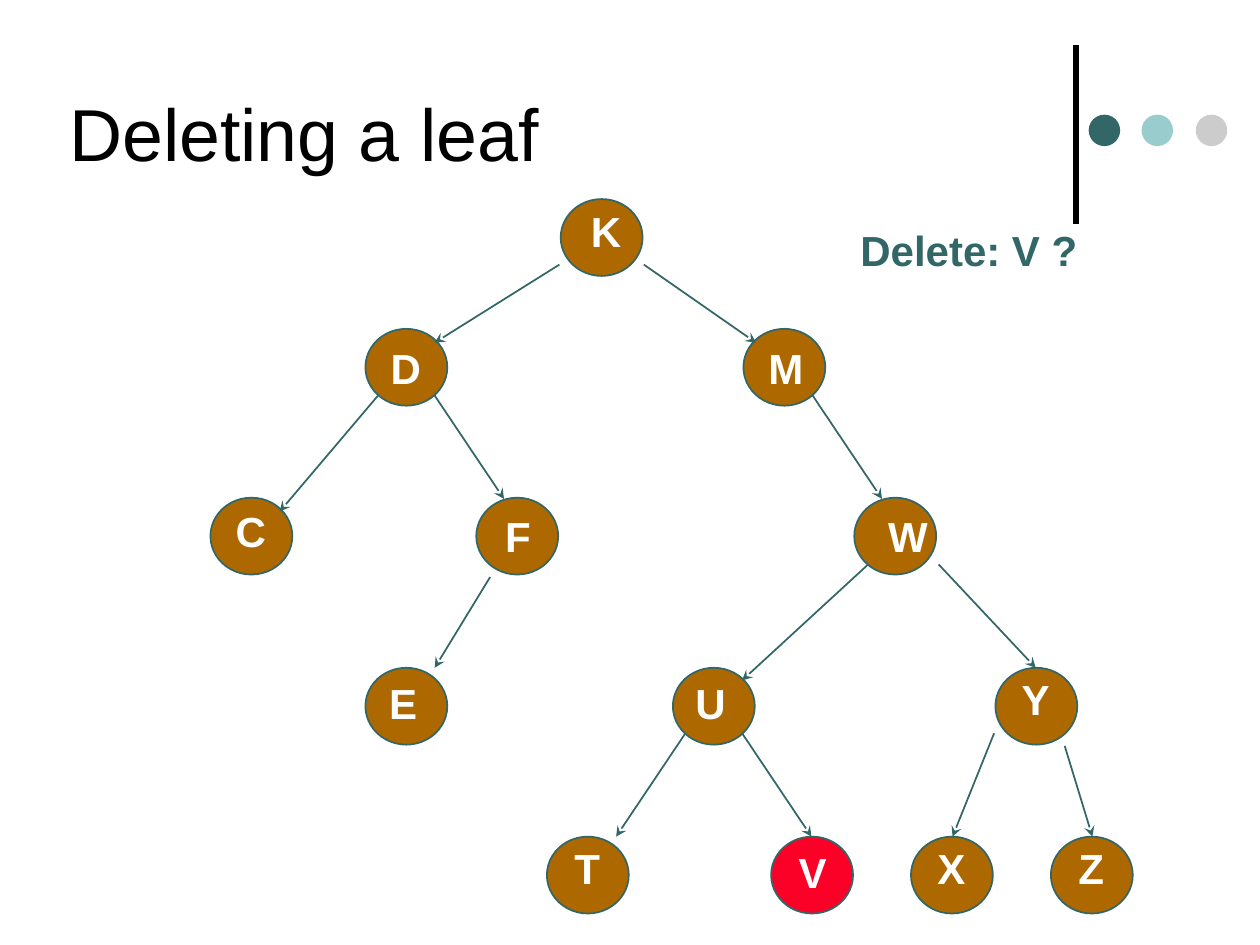
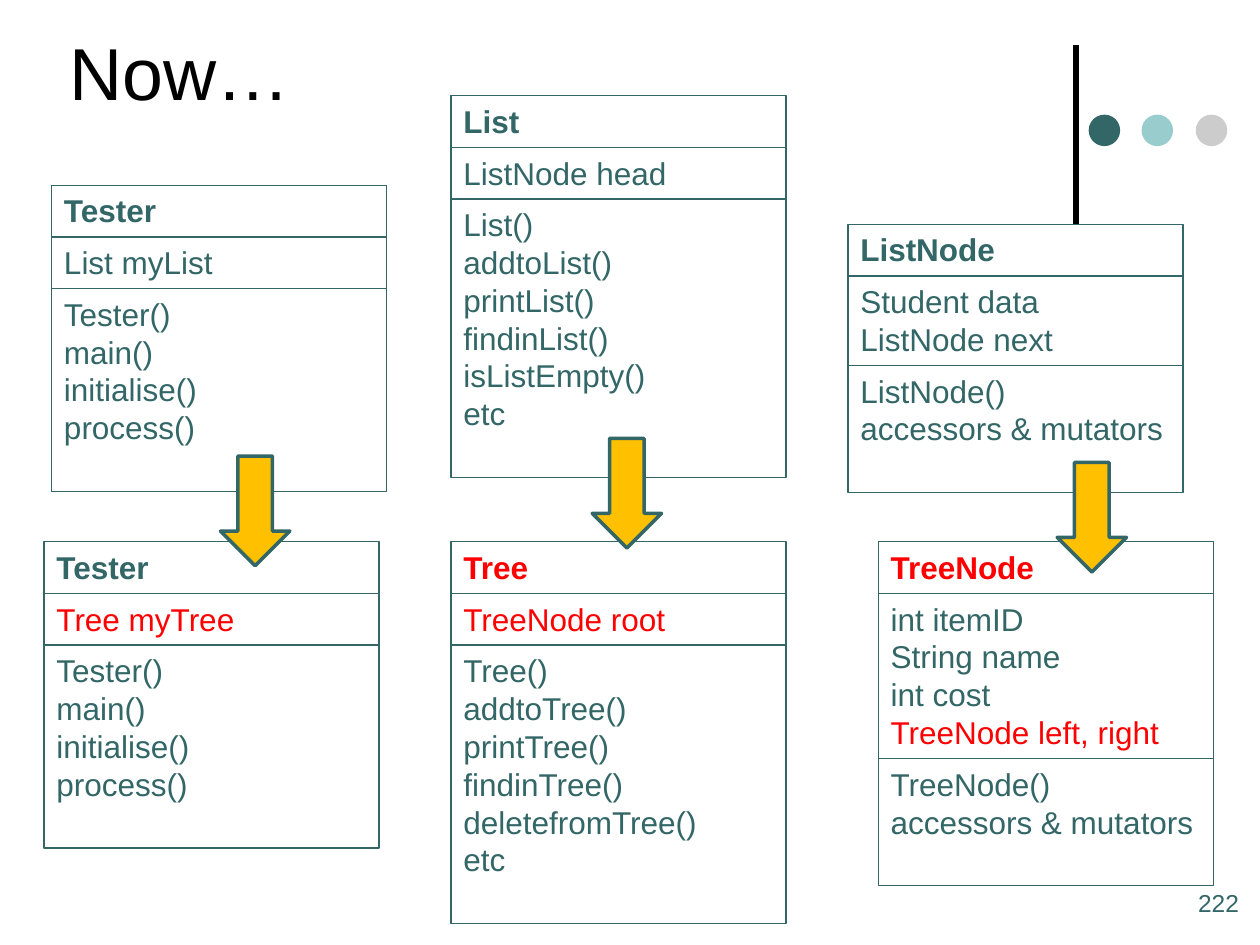
"""Build two slides: deleting a tree leaf, and moving the classes from list to tree."""
from lxml.etree import SubElement
from pptx import Presentation
from pptx.dml.color import RGBColor
from pptx.enum.shapes import MSO_CONNECTOR, MSO_SHAPE
from pptx.enum.text import MSO_ANCHOR, PP_ALIGN
from pptx.oxml.ns import qn
from pptx.util import Pt

PX = 9144
COLORS = {
    "ink": "000000", "teal": "336666", "aqua": "99CCCC", "grey": "CCCCCC",
    "node": "AD6900", "target": "FC0128", "label": "FFFFFF",
    "changed": "FF0000", "arrow": "FFC000",
}
FORMATS = {
    "title": {"size": Pt(42), "bold": False},
    "tree": {"size": Pt(24), "bold": True},
    "heading": {"size": Pt(18), "bold": True},
    "member": {"size": Pt(18), "bold": False},
    "number": {"size": Pt(14), "bold": False},
}

DOTS = ["teal", "aqua", "grey"]
LEVEL_TOPS = [158, 261, 395, 530, 664]
NODE_WIDTH, NODE_HEIGHT = 65, 61
LABEL_WIDTH, LABEL_HEIGHT = 44, 50
# letter: left, level, label shift right, label shift down
NODES = {
    "K": (445, 0, 4, 0), "D": (290, 1, 0, 6), "M": (590, 1, 0, 6),
    "C": (167, 2, 0, 1), "F": (378, 2, 1, 5), "W": (678, 2, 7, 5),
    "E": (290, 3, -2, 3), "U": (534, 3, -2, 3), "Y": (790, 3, 0, 0),
    "T": (434, 4, 0, 0), "V": (612, 4, 1, 3), "X": (723, 4, 0, 0),
    "Z": (834, 4, 0, 0),
}
DELETED = "V"
EDGES = [
    (444, 210, 345, 272), (511, 210, 600, 272),
    (300, 314, 222, 406), (345, 314, 400, 396), (645, 314, 700, 396),
    (389, 458, 345, 530), (689, 448, 589, 540), (745, 448, 822, 530),
    (544, 582, 489, 664), (589, 582, 644, 664),
    (789, 582, 756, 664), (845, 592, 867, 664),
]

CLASS_WIDTH, LINE_HEIGHT, CLASS_PADDING = 266, 30, 11
CLASSES = [
    (41, 147, "Tester", ["List myList"],
     ["Tester()", "main()", "initialise()", "process()"]),
    (673, 178, "ListNode", ["Student data", "ListNode next"],
     ["ListNode()", "accessors & mutators"]),
    (358, 76, "List", ["ListNode head"],
     ["List()", "addtoList()", "printList()", "findinList()", "isListEmpty()", "etc"]),
    (697, 430, "TreeNode",
     ["int itemID", "String name", "int cost", "TreeNode left, right"],
     ["TreeNode()", "accessors & mutators"]),
    (358, 430, "Tree", ["TreeNode root"],
     ["Tree()", "addtoTree()", "printTree()", "findinTree()", "deletefromTree()", "etc"]),
    (35, 430, "Tester", ["Tree myTree"],
     ["Tester()", "main()", "initialise()", "process()"]),
]
CHANGED = {"Tree", "TreeNode", "Tree myTree", "TreeNode root", "TreeNode left, right"}
ARROWS = [(839, 367), (470, 348), (175, 362)]


def color(name):
    return RGBColor.from_string(COLORS[name])


def scaled(*lengths):
    return [length * PX for length in lengths]


def write(shape, lines, style, tint="teal", align=PP_ALIGN.LEFT,
          anchor=MSO_ANCHOR.TOP, wrap=True):
    frame = shape.text_frame
    frame.word_wrap = wrap
    frame.vertical_anchor = anchor
    for index, line in enumerate(lines):
        paragraph = frame.add_paragraph() if index else frame.paragraphs[0]
        paragraph.alignment = align
        span = paragraph.add_run()
        span.text = line
        span.font.name = "Arial"
        span.font.color.rgb = color("changed" if line in CHANGED else tint)
        for name, value in FORMATS[style].items():
            setattr(span.font, name, value)


def add_text(page, place, text, style, **options):
    write(page.shapes.add_textbox(*scaled(*place)), [text], style, **options)


def add_shape(page, kind, place, fill=None, line_width=None):
    shape = page.shapes.add_shape(kind, *scaled(*place))
    shape.shadow.inherit = False
    if fill:
        shape.fill.solid()
        shape.fill.fore_color.rgb = color(fill)
    else:
        shape.fill.background()
    if line_width:
        shape.line.color.rgb = color("teal")
        shape.line.width = Pt(line_width)
    else:
        shape.line.fill.background()
    return shape


def add_line(page, ends, tint, width, arrow=False):
    line = page.shapes.add_connector(MSO_CONNECTOR.STRAIGHT, *scaled(*ends))
    line.line.color.rgb = color(tint)
    line.line.width = Pt(width)
    if arrow:
        SubElement(line.line._get_or_add_ln(), qn("a:tailEnd"), type="stealth")
    SubElement(line._element.spPr, qn("a:effectLst"))


def add_page(deck, title, title_top):
    page = deck.slides.add_slide(deck.slide_layouts[6])
    add_line(page, (854, 178, 854, 36), "ink", 3)
    for index, tint in enumerate(DOTS):
        add_shape(page, MSO_SHAPE.OVAL, (864 + round(index * 42.5), 91, 25, 25), tint)
    add_text(page, (45, title_top, 767, 167), title, "title",
             tint="ink", anchor=MSO_ANCHOR.MIDDLE)
    return page


def draw_tree(page):
    for letter, (left, level, shift_right, shift_down) in NODES.items():
        top = LEVEL_TOPS[level]
        add_shape(page, MSO_SHAPE.OVAL, (left, top, NODE_WIDTH, NODE_HEIGHT),
                  "target" if letter == DELETED else "node", 1)
        label_left = left + (NODE_WIDTH - LABEL_WIDTH) // 2 + shift_right
        add_text(page, (label_left, top + shift_down, LABEL_WIDTH, LABEL_HEIGHT),
                 letter, "tree", tint="label", align=PP_ALIGN.CENTER, wrap=False)
    for ends in EDGES:
        add_line(page, ends, "teal", 1, arrow=True)


def draw_class(page, left, top, name, fields, methods):
    parts = [([name], "heading", 0), (fields, "member", 0), (methods, "member", 1)]
    for lines, style, spare_lines in parts:
        height = CLASS_PADDING + LINE_HEIGHT * (len(lines) + spare_lines)
        box = add_shape(page, MSO_SHAPE.RECTANGLE,
                        (left, top, CLASS_WIDTH, height), line_width=0.75)
        write(box, lines, style)
        top += height


def main():
    deck = Presentation()
    deck.slide_width, deck.slide_height = scaled(1000, 750)

    page = add_page(deck, "Deleting a leaf", 21)
    draw_tree(page)
    add_text(page, (673, 173, 194, 51), "Delete: V ?", "tree", wrap=False)

    page = add_page(deck, "Now…", -27)
    add_text(page, (941, 700, 59, 50), "222", "number")
    for entry in CLASSES:
        draw_class(page, *entry)
    for left, top in ARROWS:
        add_shape(page, MSO_SHAPE.DOWN_ARROW, (left, top, 55, 87), "arrow", 2)

    deck.save("out.pptx")


if __name__ == "__main__":
    main()
